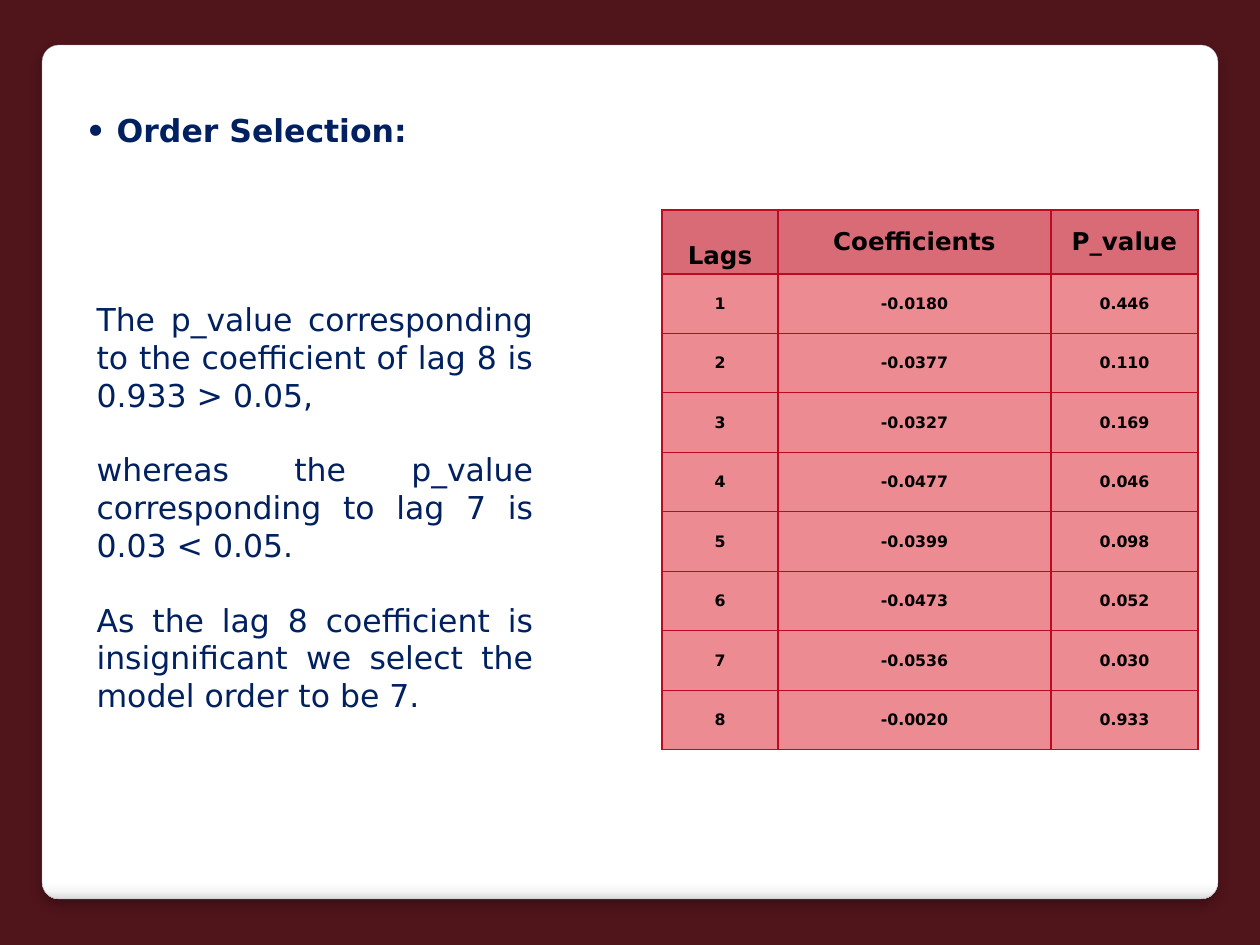
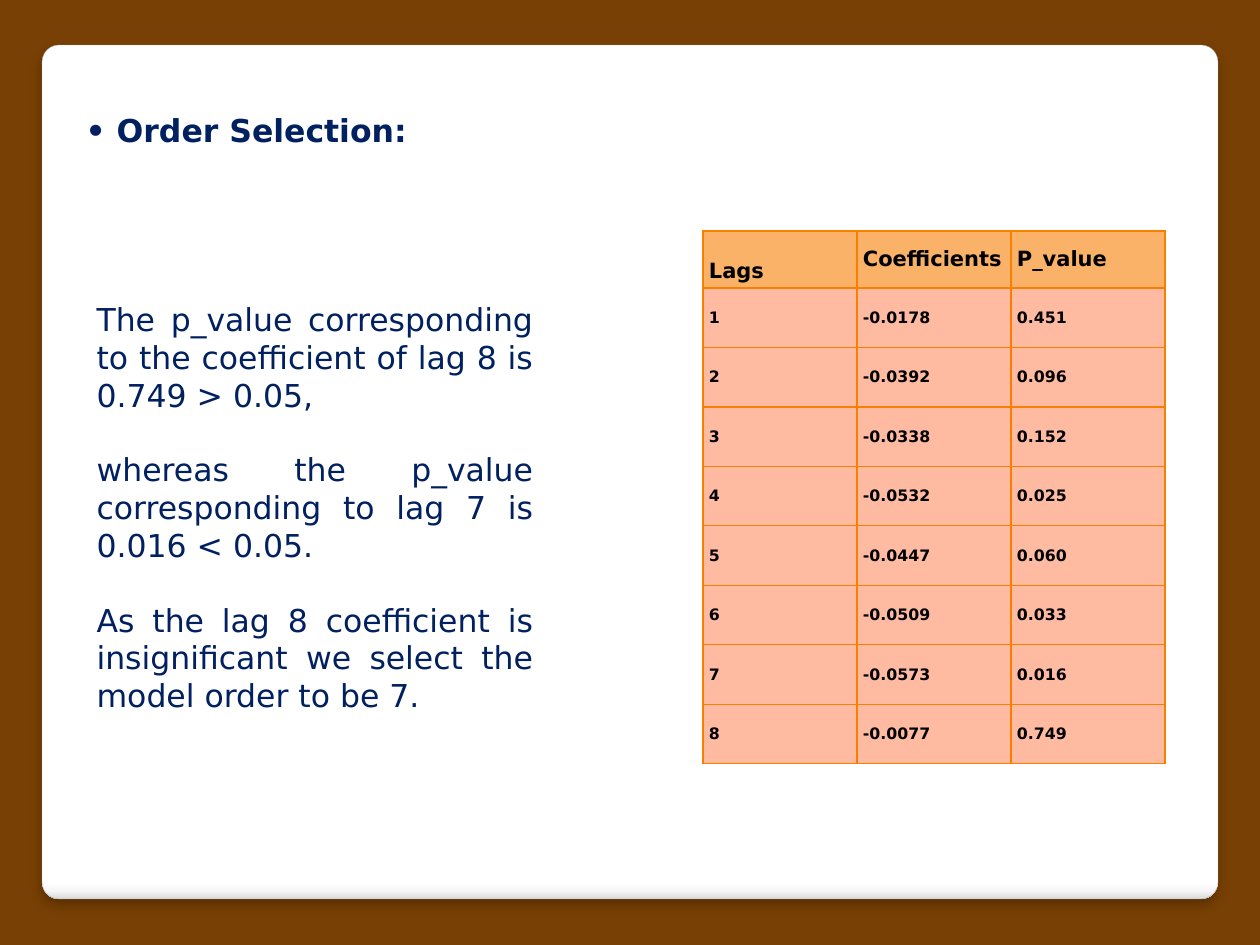
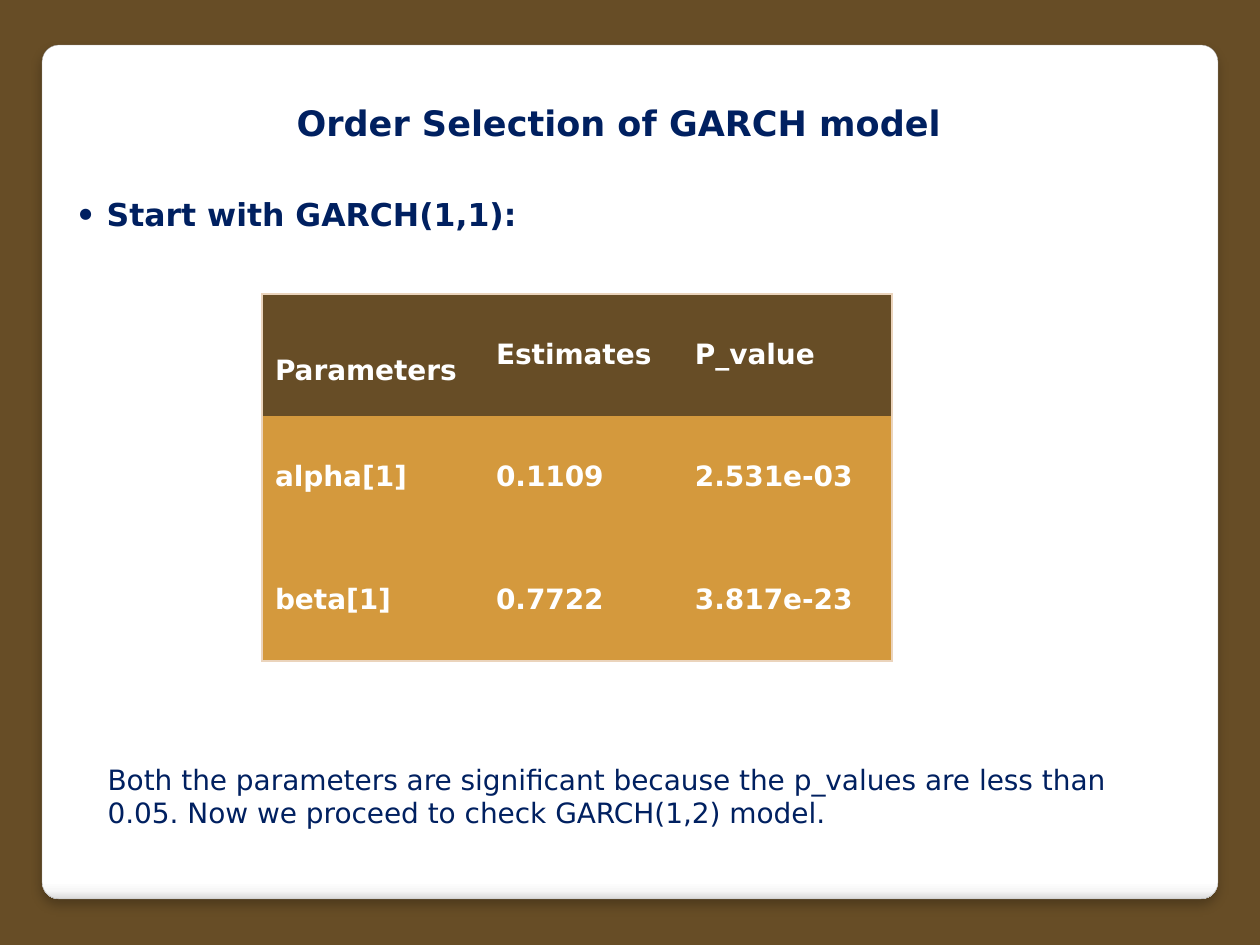
from dataclasses import dataclass

from pptx import Presentation
from pptx.dml.color import RGBColor
from pptx.enum.shapes import MSO_SHAPE
from pptx.enum.text import MSO_ANCHOR, MSO_AUTO_SIZE, PP_ALIGN
from pptx.oxml import parse_xml
from pptx.oxml.ns import nsdecls, qn
from pptx.util import Pt

ROUNDED = MSO_SHAPE.ROUNDED_RECTANGLE
TOP, MIDDLE = MSO_ANCHOR.TOP, MSO_ANCHOR.MIDDLE
FIXED_SIZE = MSO_AUTO_SIZE.NONE
LEFT, CENTER, JUSTIFY = PP_ALIGN.LEFT, PP_ALIGN.CENTER, PP_ALIGN.JUSTIFY

PX_PER_INCH = 126
TITLE_AND_BODY, TITLE_AND_TWO_BODIES = 1, 3
PANEL_ID = 20


@dataclass(frozen=True)
class Theme:
    """Colours and type sizes shared by the slides."""
    font: str = "DejaVu Sans"
    navy: str = "002060"
    black: str = "000000"
    white: str = "FFFFFF"
    panel_edge: str = "A4A4A4"
    panel_stops: tuple = ((0, "FFFFFF"), (98, "FFFFFF"), (99, "F7F7F7"), (100, "DADADA"))
    title: int = 20
    heading: int = 18
    note: int = 16
    paragraph_gap: int = 21


@dataclass(frozen=True)
class Box:
    """A rectangle in px."""
    x: int
    y: int
    w: int
    h: int

    def inner(self, x, y, w, h):
        """Return a box placed relative to this one."""
        return Box(self.x + x, self.y + y, w, h)

    def emu(self):
        """Return left, top, width and height in EMU."""
        return tuple(px(length) for length in (self.x, self.y, self.w, self.h))


@dataclass(frozen=True)
class TableLook:
    """Colours, sizes and cell layout of one table."""
    header_fill: str
    body_fill: str
    text: str
    border: str
    header_size: int
    body_size: int
    columns: tuple
    header_height: int
    align: PP_ALIGN = LEFT
    margins: tuple = (6, 3)
    inner_lines: bool = True


THEME = Theme()
PANEL = Box(42, 45, 1176, 854)

RED_LOOK = TableLook("D96B77", "EC8B91", THEME.black, "BC0B1F", 14, 9,
                     (116, 273, 147), 64, align=CENTER)
ORANGE_LOOK = TableLook("F9B268", "FFBAA2", THEME.black, "F97F00", 12, 9,
                        (154, 154, 154), 57)
BROWN_LOOK = TableLook("674D26", "D4993D", THEME.white, "EBD4BC", 16, 16,
                       (221, 199, 210), 122, margins=(13, 6), inner_lines=False)

LAG_HEADER = ("Lags", "Coefficients", "P_value")
RED_LAGS = (
    ("-0.0180", "0.446"), ("-0.0377", "0.110"), ("-0.0327", "0.169"), ("-0.0477", "0.046"),
    ("-0.0399", "0.098"), ("-0.0473", "0.052"), ("-0.0536", "0.030"), ("-0.0020", "0.933"),
)
ORANGE_LAGS = (
    ("-0.0178", "0.451"), ("-0.0392", "0.096"), ("-0.0338", "0.152"), ("-0.0532", "0.025"),
    ("-0.0447", "0.060"), ("-0.0509", "0.033"), ("-0.0573", "0.016"), ("-0.0077", "0.749"),
)
GARCH_ROWS = (
    ("Parameters", "Estimates", "P_value"),
    ("alpha[1]", "0.1109", "2.531e-03"),
    ("beta[1]", "0.7722", "3.817e-23"),
)


def px(length):
    """Turn px into EMU."""
    return round(length * 914400 / PX_PER_INCH)


def rgb(colour):
    """Turn a hex string into a colour."""
    return RGBColor.from_string(colour)


def add_run(paragraph, words, size, colour, bold):
    """Add one formatted run to a paragraph."""
    run = paragraph.add_run()
    run.text = words
    run.font.name = THEME.font
    run.font.size = Pt(size)
    run.font.bold = bold
    run.font.color.rgb = rgb(colour)


def fill_placeholder(placeholder, box, paragraphs, size, bold=False, align=LEFT):
    """Place a placeholder and write its paragraphs without bullets."""
    placeholder.left, placeholder.top, placeholder.width, placeholder.height = box.emu()
    frame = placeholder.text_frame
    frame.word_wrap = True
    frame.auto_size = FIXED_SIZE
    frame.vertical_anchor = TOP
    for index, words in enumerate(paragraphs):
        paragraph = frame.add_paragraph() if index else frame.paragraphs[0]
        paragraph.alignment = align
        paragraph.space_before = Pt(THEME.paragraph_gap if index else 0)
        properties = paragraph._p.get_or_add_pPr()
        properties.set("marL", "0")
        properties.set("indent", "0")
        properties.append(parse_xml(f"<a:buNone {nsdecls('a')}/>"))
        add_run(paragraph, words, size, THEME.navy, bold)


def add_border(cell, side, colour):
    """Add one cell border, or hide it when there is no colour."""
    paint = f'<a:solidFill><a:srgbClr val="{colour}"/></a:solidFill>' if colour else "<a:noFill/>"
    cell._tc.get_or_add_tcPr().append(
        parse_xml(f'<a:ln{side} {nsdecls("a")} w="{Pt(0.75)}">{paint}</a:ln{side}>'))


def add_data_table(slide, box, rows, look):
    """Add a table whose body rows share the height below the header."""
    last_row, last_column = len(rows) - 1, len(look.columns) - 1
    table = slide.shapes.add_table(len(rows), len(look.columns), *box.emu()).table
    table.horz_banding = False
    for column, width in zip(table.columns, look.columns):
        column.width = px(width)
    for r, row in enumerate(rows):
        body_height = (box.h - look.header_height) / last_row
        table.rows[r].height = px(body_height if r else look.header_height)
        size = look.body_size if r else look.header_size
        for c, words in enumerate(row):
            cell = table.cell(r, c)
            outer_sides = {"L": c == 0, "R": c == last_column, "T": r == 0, "B": r == last_row}
            for side, is_outer in outer_sides.items():
                add_border(cell, side, look.border if is_outer or look.inner_lines else None)
            cell.fill.solid()
            cell.fill.fore_color.rgb = rgb(look.body_fill if r else look.header_fill)
            cell.vertical_anchor = MIDDLE
            across, down = look.margins
            first_header_drop = 2 * size if r == c == 0 else 0
            cell.margin_left = cell.margin_right = px(across)
            cell.margin_top = px(down + first_header_drop)
            cell.margin_bottom = px(down)
            paragraph = cell.text_frame.paragraphs[0]
            paragraph.alignment = look.align
            add_run(paragraph, words, size, look.text, True)


def add_master_panel(master, slide, box):
    """Draw the white panel and move it to the back of the master."""
    panel = slide.shapes.add_shape(ROUNDED, *box.emu())
    panel.adjustments[0] = 0.02
    panel.line.color.rgb = rgb(THEME.panel_edge)
    panel.line.width = Pt(0.16)
    panel.shadow.inherit = False
    properties = panel.element.spPr
    stops = "".join(f'<a:gs pos="{place * 1000}"><a:srgbClr val="{colour}"/></a:gs>'
                    for place, colour in THEME.panel_stops)
    properties.find(qn("a:prstGeom")).addnext(parse_xml(
        f'<a:gradFill {nsdecls("a")} rotWithShape="1"><a:gsLst>{stops}</a:gsLst>'
        '<a:lin ang="5400000" scaled="0"/></a:gradFill>'))
    properties.find(qn("a:effectLst")).append(parse_xml(
        f'<a:outerShdw {nsdecls("a")} blurRad="{Pt(6)}" dist="{Pt(4)}" dir="5400000" '
        f'algn="ctr" rotWithShape="0"><a:srgbClr val="{THEME.black}">'
        '<a:alpha val="25000"/></a:srgbClr></a:outerShdw>'))
    panel.element.nvSpPr.cNvPr.set("id", str(PANEL_ID))
    master.shapes.element.insert(2, panel.element)


def add_slide(deck, layout, background):
    """Add a slide with a plain background."""
    slide = deck.slides.add_slide(deck.slide_layouts[layout])
    slide.background.fill.solid()
    slide.background.fill.fore_color.rgb = rgb(background)
    return slide


def add_lag_slide(deck, box, background, lag_values, lag_7, lag_8, table_box, look):
    """Add an order selection slide with its reasoning and lag table."""
    slide = add_slide(deck, TITLE_AND_BODY, background)
    heading, reasoning = slide.placeholders
    fill_placeholder(heading, box.inner(31, 60, 483, 50), ["• Order Selection:"],
                     THEME.heading, bold=True)
    fill_placeholder(reasoning, box.inner(42, 249, 462, 432), [
        f"The p_value corresponding to the coefficient of lag 8 is {lag_8} > 0.05,",
        f"whereas the p_value corresponding to lag 7 is {lag_7} < 0.05.",
        "As the lag 8 coefficient is insignificant we select the model order to be 7.",
    ], THEME.heading, align=JUSTIFY)
    rows = [LAG_HEADER]
    rows += [(str(lag), *values) for lag, values in enumerate(lag_values, start=1)]
    add_data_table(slide, box.inner(*table_box), rows, look)
    return slide


def add_garch_slide(deck, box, background):
    """Add the GARCH slide with its parameter table and conclusion."""
    slide = add_slide(deck, TITLE_AND_TWO_BODIES, background)
    title, start, conclusion = slide.placeholders
    fill_placeholder(title, box.inner(242, 50, 682, 55), ["Order Selection of GARCH model"],
                     THEME.title, bold=True)
    fill_placeholder(start, box.inner(21, 144, 483, 50), ["• Start with GARCH(1,1):"],
                     THEME.heading, bold=True)
    add_data_table(slide, box.inner(220, 249, 630, 367), GARCH_ROWS, BROWN_LOOK)
    fill_placeholder(conclusion, box.inner(53, 711, 1029, 80), [
        "Both the parameters are significant because the p_values are less than 0.05. "
        "Now we proceed to check GARCH(1,2) model.",
    ], THEME.note)


def main():
    """Build the deck and save it."""
    deck = Presentation()
    deck.slide_width, deck.slide_height = px(1260), px(945)
    first = add_lag_slide(deck, PANEL, "50141B", RED_LAGS, "0.03", "0.933",
                          (620, 165, 536, 540), RED_LOOK)
    add_master_panel(deck.slide_master, first, PANEL)
    add_lag_slide(deck, PANEL, "784004", ORANGE_LAGS, "0.016", "0.749",
                  (661, 186, 462, 533), ORANGE_LOOK)
    add_garch_slide(deck, PANEL, "674D26")
    deck.save("out.pptx")


if __name__ == "__main__":
    main()
